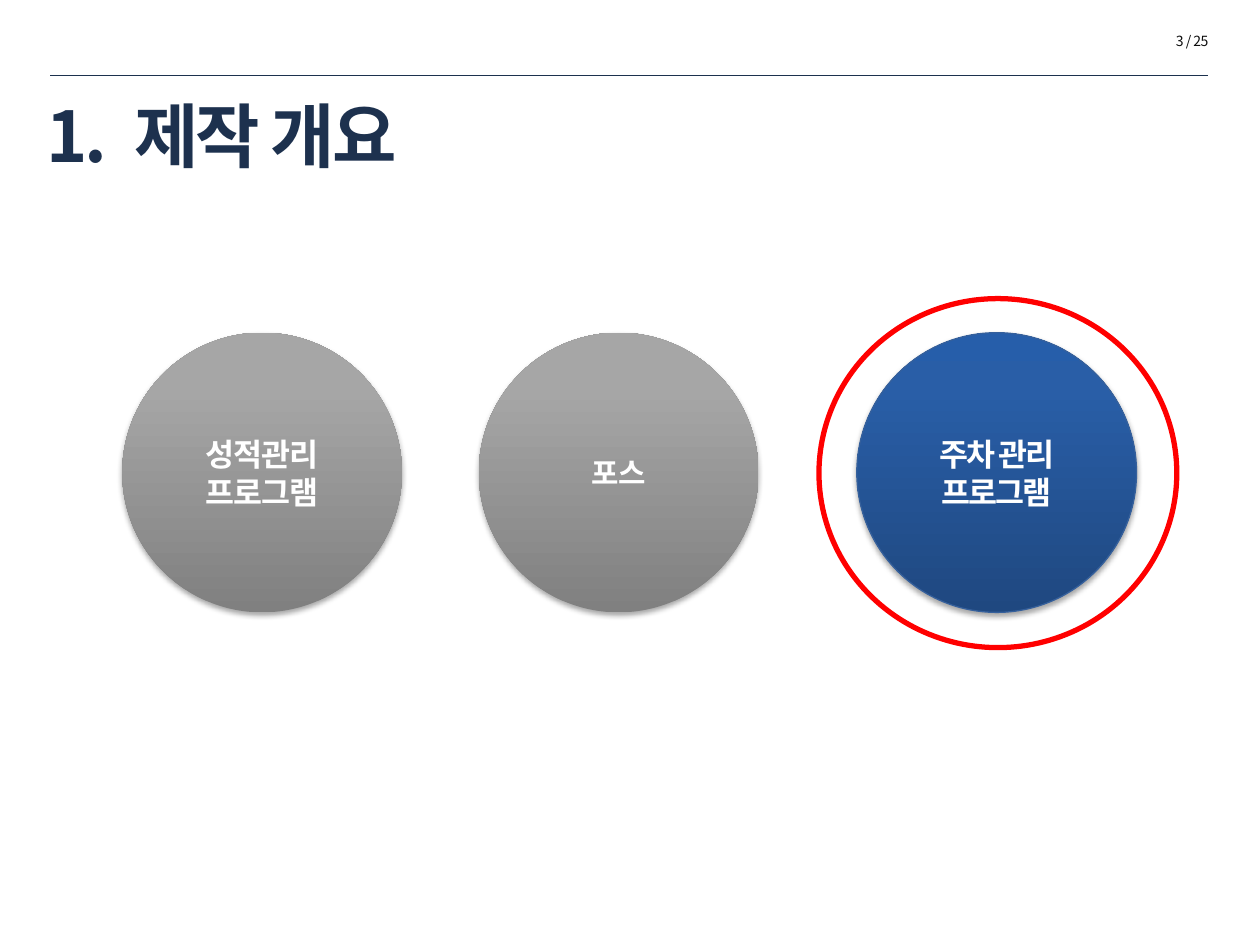
from lxml.etree import SubElement
from pptx import Presentation
from pptx.dml.color import RGBColor
from pptx.enum.shapes import MSO_CONNECTOR, MSO_SHAPE
from pptx.enum.text import MSO_ANCHOR as ANCHOR, PP_ALIGN as ALIGN
from pptx.oxml.ns import qn
from pptx.util import Inches, Pt

FONT = "Noto Sans CJK KR"
NAVY = RGBColor(0x1D, 0x31, 0x4E)
RULE = RGBColor(0x1C, 0x31, 0x4E)
INK = RGBColor(0x0D, 0x0D, 0x0D)
WHITE = RGBColor(0xFF, 0xFF, 0xFF)
RED = RGBColor(0xFF, 0x00, 0x00)
EDGE = RGBColor(0x35, 0x60, 0x9C)
BLACK = RGBColor(0x00, 0x00, 0x00)
GRAY_STOPS = [(0, RGBColor(0x80, 0x80, 0x80)), (80, RGBColor(0xA6, 0xA6, 0xA6))]
BLUE_STOPS = [(0, RGBColor(0x1F, 0x48, 0x80)), (80, RGBColor(0x29, 0x5E, 0xA7)),
              (100, RGBColor(0x26, 0x5E, 0xAA))]


def add_run(p, text, size, color, bold=False, spacing=0):
    r = p.add_run()
    r.text = text
    for name, value in {"name": FONT, "size": Pt(size), "bold": bold}.items():
        setattr(r.font, name, value)
    r.font.color.rgb = color
    rPr = r._r.get_or_add_rPr()
    rPr.set("spc", str(round(spacing * 100)))
    SubElement(rPr, qn("a:ea"), typeface=FONT)


def add_text_box(slide, box, align, anchor):
    """Add a wrapping text box and return its first paragraph."""
    tf = slide.shapes.add_textbox(*map(Inches, box)).text_frame
    tf.word_wrap = True
    tf.vertical_anchor = anchor
    tf.paragraphs[0].alignment = align
    return tf.paragraphs[0]


def set_gradient(sp, stops):
    """Fill with a bottom-to-top gradient of (percent, colour) stops."""
    sp.fill.gradient()
    sp.fill.gradient_angle = 90
    gs_list = sp._element.spPr.find(".//" + qn("a:gsLst"))
    for gs in list(gs_list):
        gs_list.remove(gs)
    for percent, color in stops:
        gs = SubElement(gs_list, qn("a:gs"), pos=str(percent * 1000))
        SubElement(gs, qn("a:srgbClr"), val=str(color))


def set_shadow(sp):
    """Give a soft shadow that falls straight down."""
    effects = sp._element.spPr.find(qn("a:effectLst"))
    shadow = SubElement(effects, qn("a:outerShdw"), blurRad=str(Pt(3.1)),
                        dist=str(Pt(1.8)), dir="5400000", rotWithShape="0")
    color = SubElement(shadow, qn("a:srgbClr"), val=str(BLACK))
    SubElement(color, qn("a:alpha"), val="35000")


def add_ellipse(slide, box, line_color=None, line_width=0):
    sp = slide.shapes.add_shape(MSO_SHAPE.OVAL, *map(Inches, box))
    sp.shadow.inherit = False
    if line_color is None:
        sp.line.fill.background()
    else:
        sp.line.color.rgb = line_color
        sp.line.width = Pt(line_width)
    return sp


def add_program(slide, box, lines, stops, size, spacing, edge=None):
    sp = add_ellipse(slide, box, edge, 0.75)
    set_gradient(sp, stops)
    set_shadow(sp)
    tf = sp.text_frame
    tf.vertical_anchor = ANCHOR.MIDDLE
    for i, line in enumerate(lines):
        p = tf.add_paragraph() if i else tf.paragraphs[0]
        p.alignment = ALIGN.CENTER
        add_run(p, line, size, WHITE, True, spacing)


def add_header(slide, left, top, width):
    """Place the rule at the given line, the page number above, the title below."""
    rule = slide.shapes.add_connector(
        MSO_CONNECTOR.STRAIGHT, *map(Inches, (left, top, left + width, top)))
    rule.line.color.rgb = RULE
    rule.line.width = Pt(0.25)
    SubElement(rule._element.spPr, qn("a:effectLst"))

    page = add_text_box(slide, (left + width - 1.63, top - 0.39, 1.73, 0.24),
                        ALIGN.RIGHT, ANCHOR.TOP)
    add_run(page, "3 / 25", 8, INK, spacing=-0.3)

    title = add_text_box(slide, (left - 0.13, top, 9.28, 0.94),
                         ALIGN.LEFT, ANCHOR.MIDDLE)
    for text, spacing in (("1.", -1.5), (" ", 6), ("제작 개요", -1.5)):
        add_run(title, text, 40, NAVY, True, spacing)


def add_programs(slide, left, top, size):
    """Place a row of three circles and ring the last one."""
    programs = [
        (0, ["성적관리", "프로그램"], GRAY_STOPS, 18, -0.5, None),
        (2.83, ["포스"], GRAY_STOPS, 17, 0, None),
        (5.83, ["주차 관리", "프로그램"], BLUE_STOPS, 18, -1.2, EDGE),
    ]
    for offset, *style in programs:
        add_program(slide, (left + offset, top, size, size), *style)
    ring = add_ellipse(slide, (left + 5.53, top - 0.27, 2.84, 2.77), RED, 3)
    ring.fill.background()


def main():
    prs = Presentation()
    prs.slide_width, prs.slide_height = Inches(10), Inches(7.5)
    slide = prs.slides.add_slide(prs.slide_layouts[6])
    add_header(slide, 0.4, 0.6, 9.19)
    add_programs(slide, 0.97, 2.64, 2.22)
    prs.save("out.pptx")


if __name__ == "__main__":
    main()
